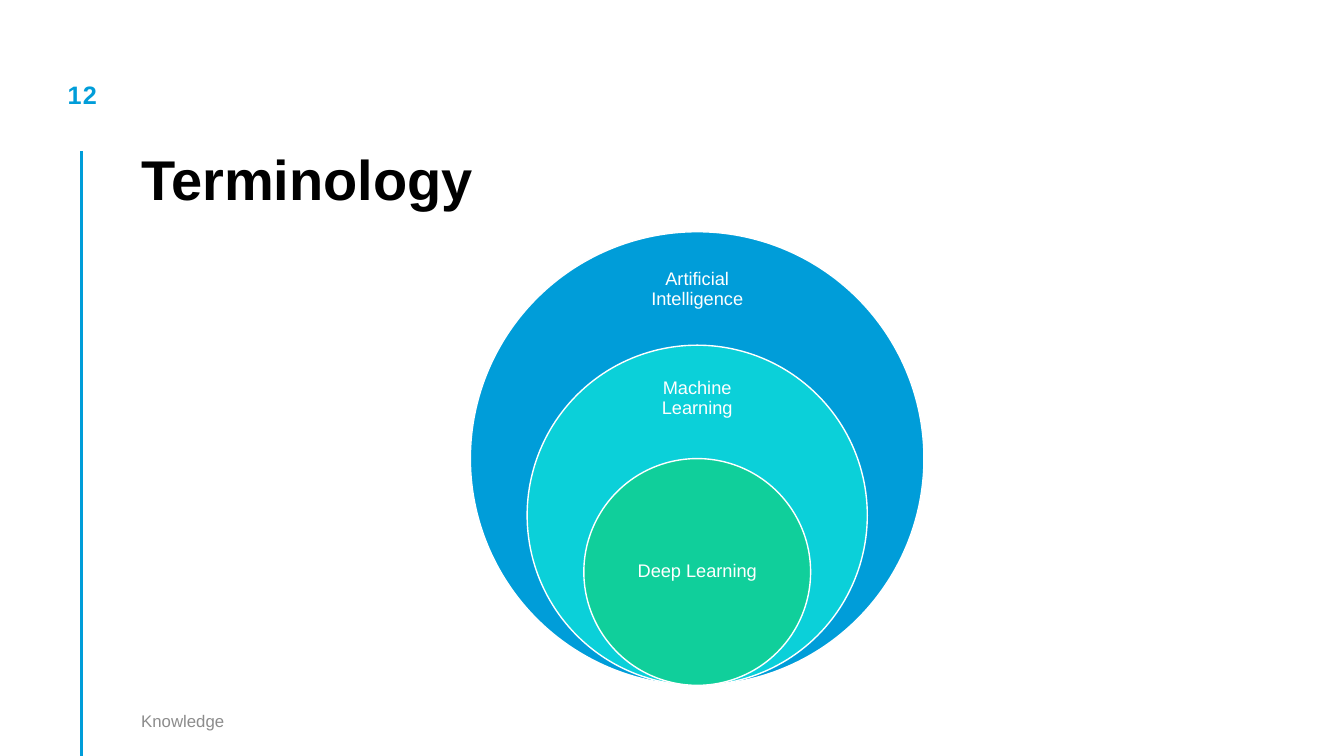
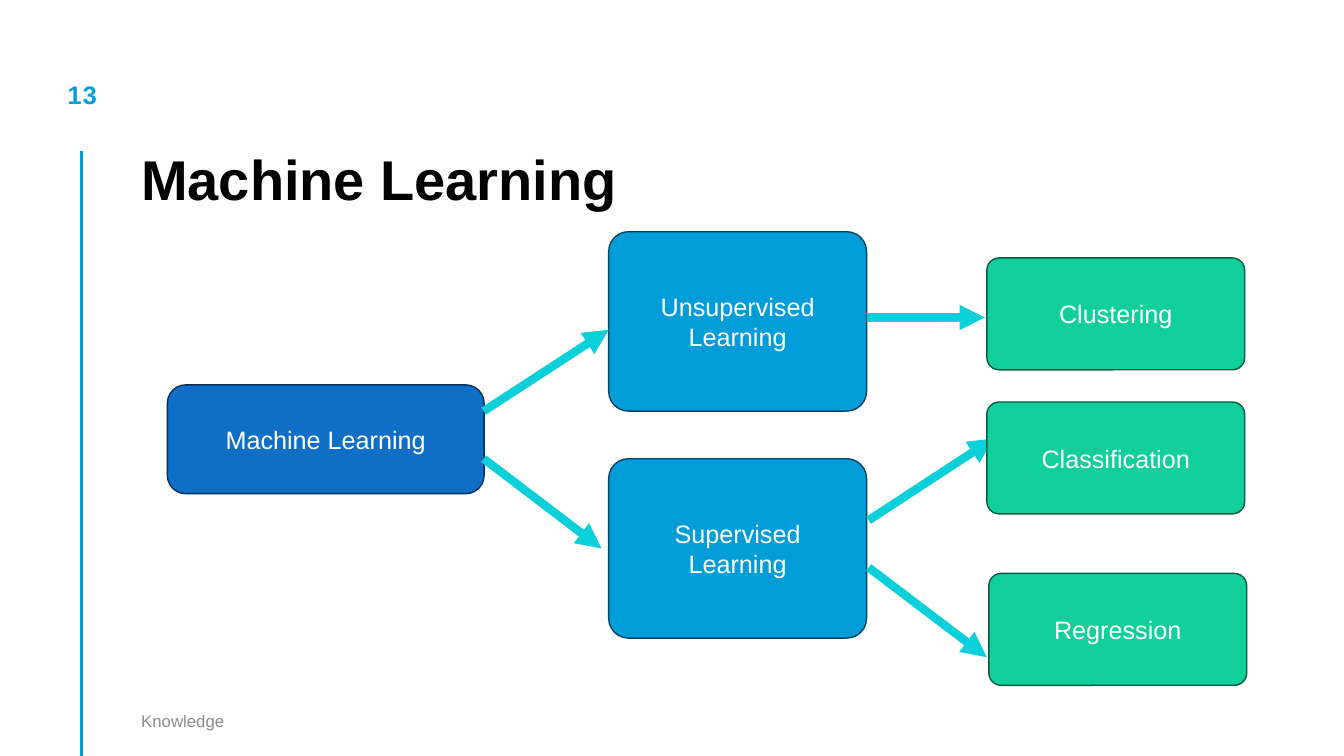
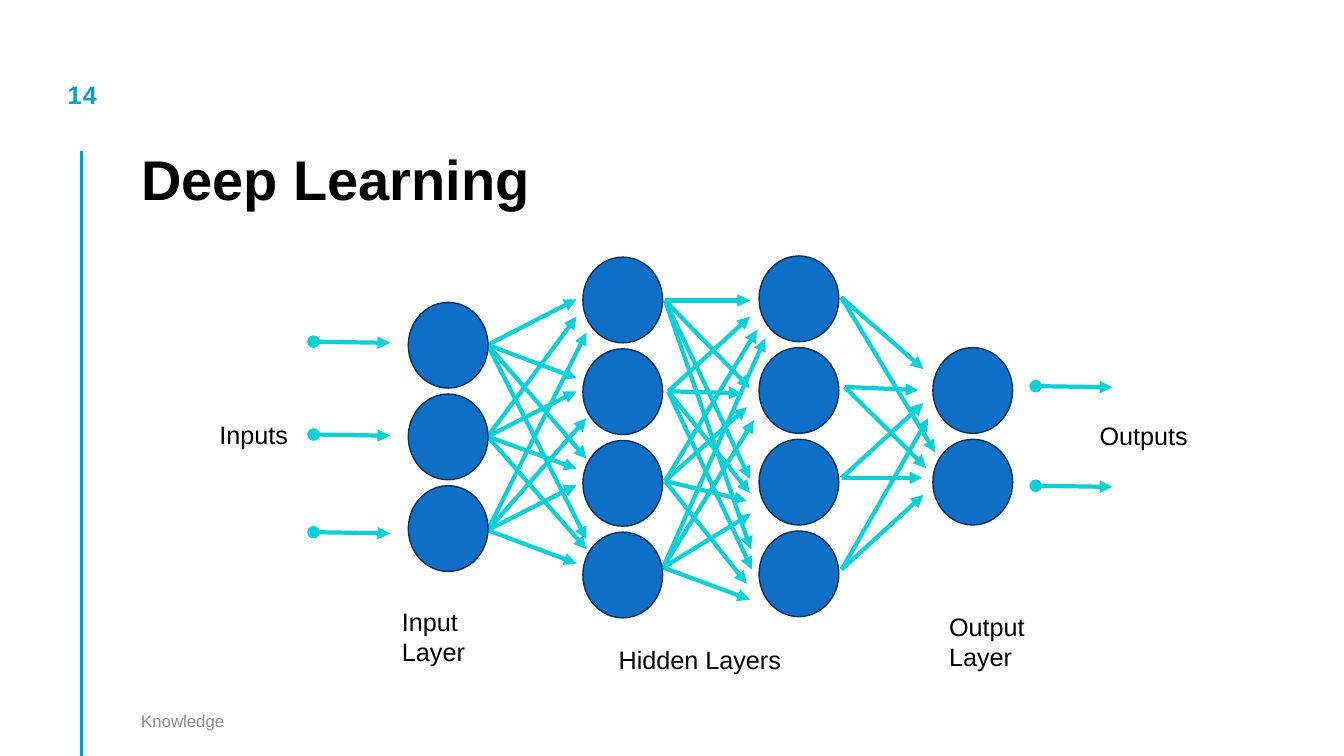
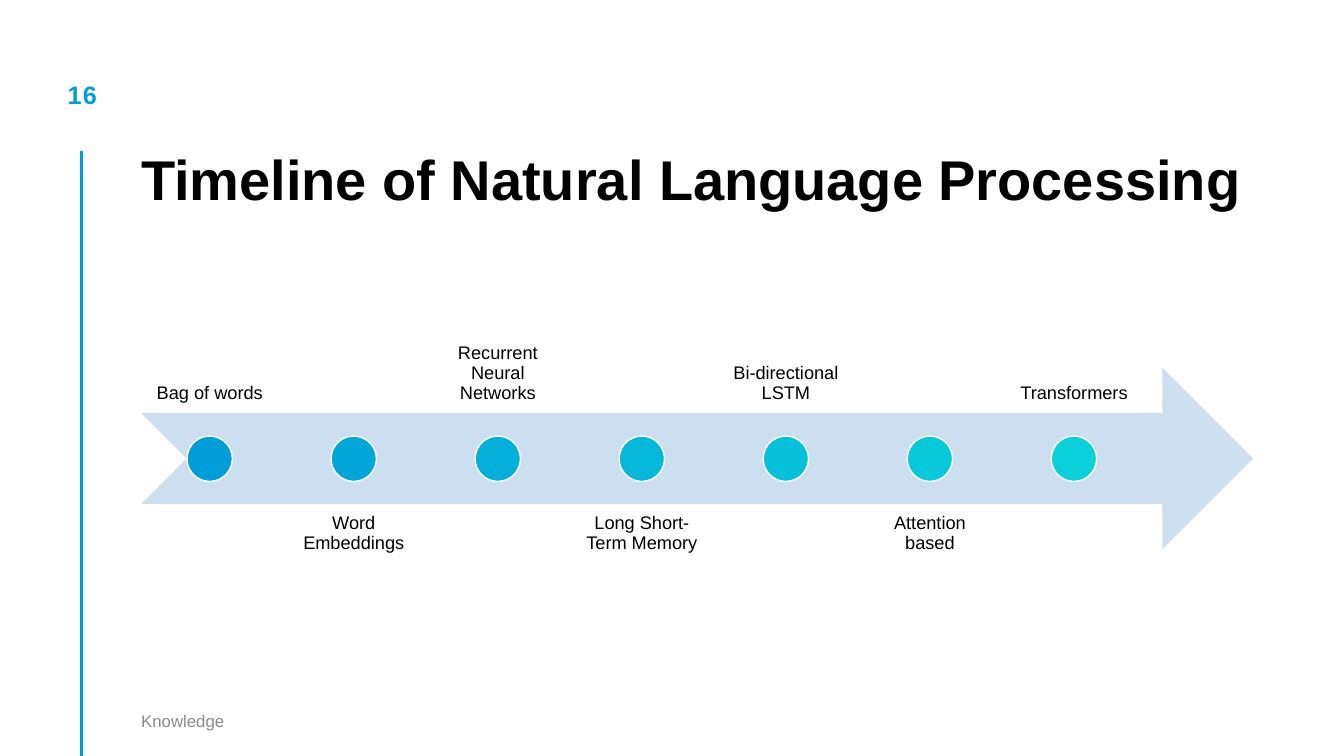
from pptx import Presentation
from pptx.dml.color import RGBColor
from pptx.enum.shapes import MSO_CONNECTOR, MSO_SHAPE
from pptx.enum.text import MSO_ANCHOR, PP_ALIGN
from pptx.oxml.ns import qn
from pptx.util import Cm, Pt
from lxml import etree

STRAIGHT = MSO_CONNECTOR.STRAIGHT
ELLIPSE = MSO_SHAPE.OVAL
ROUNDED = MSO_SHAPE.ROUNDED_RECTANGLE
NOTCHED_ARROW = MSO_SHAPE.NOTCHED_RIGHT_ARROW
TOP, MIDDLE, BOTTOM = MSO_ANCHOR.TOP, MSO_ANCHOR.MIDDLE, MSO_ANCHOR.BOTTOM
LEFT, CENTER = PP_ALIGN.LEFT, PP_ALIGN.CENTER

COLOURS = {
    "black": "000000",
    "white": "FFFFFF",
    "grey": "8C8C8C",
    "navy": "0F6FC6",
    "navy_edge": "073157",
    "blue": "009DD9",
    "blue_edge": "00455F",
    "aqua": "0BD0D9",
    "green": "10CF9B",
    "green_edge": "075B44",
    "pale": "CCDFF1",
    "step_2": "02A6D9",
    "step_3": "04AFD9",
    "step_4": "05B7D9",
    "step_5": "07C0D9",
    "step_6": "09C8D9",
}
FONTS = {
    "title": {"name": "Arial", "size": Pt(40), "bold": True},
    "number": {"name": "Arial", "size": Pt(18), "bold": True},
    "body": {"name": "Arial", "size": Pt(18), "bold": False},
    "label": {"name": "Arial", "size": Pt(13), "bold": False},
    "footer": {"name": "Arial", "size": Pt(12), "bold": False},
}
WIDTH, HEIGHT = 33.87, 19.05
MARGIN = 3.56
CONTENT_WIDTH = 28.02
CONTENT_TOP = 5.84
DEFAULT_INSETS = (0.25, 0.13)


def colour(name):
    return RGBColor.from_string(COLOURS[name])


class Deck:
    def __init__(self):
        self.deck = Presentation()
        self.deck.slide_width, self.deck.slide_height = Cm(WIDTH), Cm(HEIGHT)
        self.page = None

    def new_page(self, number, title):
        self.page = self.deck.slides.add_slide(self.deck.slide_layouts[6])
        self.line((2.06, 3.81), (2.06, HEIGHT), "blue", 2)
        self.text(title, (MARGIN, 1.78, CONTENT_WIDTH, 3.56), "title",
                  anchor=BOTTOM, insets=(0, 0), spacing=Pt(40))
        self.text("Knowledge", (MARGIN, 17.65, 11.43, 1.02), "footer", "grey",
                  anchor=MIDDLE, insets=(0, 0.13))
        span = self.text(str(number), (1.35, 2.01, 1.45, 1.45), "number", "blue",
                         align=CENTER, insets=(0, 0))
        span._r.get_or_add_rPr().set("spc", "100")

    def fill_frame(self, frame, text, font, ink, align, anchor, insets, spacing):
        across, down = insets
        settings = {
            "word_wrap": True, "vertical_anchor": anchor,
            "margin_left": Cm(across), "margin_right": Cm(across),
            "margin_top": Cm(down), "margin_bottom": Cm(down),
        }
        for name, value in settings.items():
            setattr(frame, name, value)
        para = frame.paragraphs[0]
        para.alignment = align
        para.line_spacing = spacing
        for index, row in enumerate(text.split("\n")):
            if index:
                para.add_line_break()
            span = para.add_run()
            span.text = row
            for name, value in FONTS[font].items():
                setattr(span.font, name, value)
            span.font.color.rgb = colour(ink)
        return span

    def text(self, text, area, font="body", ink="black", align=LEFT,
             anchor=TOP, insets=DEFAULT_INSETS, spacing=None):
        box = self.page.shapes.add_textbox(*map(Cm, area))
        return self.fill_frame(box.text_frame, text, font, ink, align, anchor,
                               insets, spacing)

    def label(self, text, area, ink, anchor):
        self.text(text, area, "label", ink, CENTER, anchor, (0.25, 0.25), 0.9)

    def shape(self, kind, area, fill, edge=None, text=None, corner=None):
        shape = self.page.shapes.add_shape(kind, *map(Cm, area))
        shape.shadow.inherit = False
        shape.fill.solid()
        shape.fill.fore_color.rgb = colour(fill)
        if edge:
            shape.line.color.rgb = colour(edge)
            shape.line.width = Pt(1)
        else:
            shape.line.fill.background()
        if corner is not None:
            shape.adjustments[0] = corner
        if text:
            self.fill_frame(shape.text_frame, text, "body", "white", CENTER,
                            MIDDLE, DEFAULT_INSETS, None)

    def line(self, start, end, ink, width, **ends):
        line = self.page.shapes.add_connector(STRAIGHT, *map(Cm, start + end))
        line.line.color.rgb = colour(ink)
        line.line.width = Pt(width)
        outline = line.line._get_or_add_ln()
        for name, kind in ends.items():
            etree.SubElement(outline, qn("a:" + name)).set("type", kind)
        etree.SubElement(line._element.spPr, qn("a:effectLst"))

    def arrow(self, start, end, width):
        self.line(start, end, "aqua", width, tailEnd="triangle")

    def signal(self, left, top):
        self.line((left, top), (left + 1.93, top + 0.03), "aqua", 3,
                  headEnd="oval", tailEnd="triangle")

    def save(self):
        self.deck.save("out.pptx")


def terminology(deck):
    deck.new_page(12, "Terminology")
    center, bottom, largest = 17.57, 17.27, 11.43
    circles = [
        ("Artificial Intelligence", 1, "blue", 6.43, 1.73),
        ("Machine Learning", 0.75, "aqua", 9.25, 1.6),
        ("Deep Learning", 0.5, "green", 12.98, 2.84),
    ]
    for text, share, fill, top, height in circles:
        size = largest * share
        deck.shape(ELLIPSE, (center - size / 2, bottom - size, size, size), fill, "white")
        deck.label(text, (center - 2, top, 4, height), "white", MIDDLE)


def machine_learning(deck):
    deck.new_page(13, "Machine Learning")
    deck.shape(ROUNDED, (4.22, 9.7, 7.98, 2.74), "navy", "navy_edge", "Machine Learning")
    branches = [("Unsupervised Learning", CONTENT_TOP), ("Supervised Learning", 11.56)]
    for text, top in branches:
        deck.shape(ROUNDED, (15.34, top, 6.5, 4.52), "blue", "blue_edge", text, 0.11)
    arrows = [
        ((12.19, 10.36), (15.34, 8.31)),
        ((12.19, 11.56), (15.16, 13.82)),
        ((21.84, 8), (24.82, 8)),
        ((21.89, 13.11), (25.04, 11.05)),
        ((21.89, 14.3), (24.87, 16.56)),
    ]
    for start, end in arrows:
        deck.arrow(start, end, 6)
    tasks = [("Clustering", 24.87, 6.5), ("Classification", 24.87, 10.13),
             ("Regression", 24.92, 14.45)]
    for text, left, top in tasks:
        deck.shape(ROUNDED, (left, top, 6.5, 2.82), "green", "green_edge", text, 0.11)


def deep_learning(deck):
    deck.new_page(14, "Deep Learning")
    links = {
        (12.29, 8.69): [(14.53, 7.54), (14.53, 9.53), (14.78, 11.56), (14.78, 13.59)],
        (12.29, 11): [(14.53, 7.98), (14.53, 9.86), (14.53, 11.81), (14.78, 13.84)],
        (12.29, 13.36): [(14.78, 8.38), (14.78, 10.54), (14.53, 12.22), (14.53, 14.2)],
        (16.76, 7.57): [(18.9, 7.57), (18.9, 9.78), (18.9, 12.07), (18.92, 13.84)],
        (16.84, 9.86): [(18.9, 7.98), (18.69, 9.91), (18.9, 12.42), (18.95, 14.35)],
        (16.76, 12.12): [(19.08, 8.31), (18.82, 10.26), (18.82, 12.62), (18.82, 14.71)],
        (16.71, 14.3): [(19.28, 8.53), (19, 10.59), (18.92, 12.95), (18.9, 15.11)],
        (21.2, 7.49): [(23.27, 9.3), (23.57, 11.4)],
        (21.29, 9.75): [(23.14, 9.83), (23.34, 11.79)],
        (21.21, 12.04): [(23.27, 10.16), (23.24, 12.04)],
        (21.21, 14.35): [(23.39, 10.54), (23.27, 12.47)],
    }
    for start, ends in links.items():
        for end in ends:
            deck.arrow(start, end, 3)
    layers = [(10.29, 7.62, 3), (14.69, 6.48, 4), (19.13, 6.45, 4), (23.51, 8.76, 2)]
    pitch = 2.31
    for left, top, count in layers:
        for index in range(count):
            deck.shape(ELLIPSE, (left, top + index * pitch, 2.01, 2.16), "navy", "navy_edge")
    for left, tops in [(7.9, (8.61, 10.95, 13.41)), (26.1, (9.73, 12.24))]:
        for top in tops:
            deck.signal(left, top)
    captions = [
        ("Inputs", (5.28, 10.44, 2.44, 1.02)),
        ("Input\nLayer", (9.88, 15.14, 2.44, 1.8)),
        ("Output\nLayer", (23.67, 15.27, 2.87, 1.8)),
        ("Hidden Layers", (15.34, 16.1, 5.18, 1.02)),
        ("Outputs", (27.46, 10.46, 2.97, 1.02)),
    ]
    for text, area in captions:
        deck.text(text, area)


def timeline(deck):
    deck.new_page(16, "Timeline of Natural Language Processing")
    height = 4.57
    deck.shape(NOTCHED_ARROW, (MARGIN, 9.27, CONTENT_WIDTH, height), "pale")
    steps = [
        ("Bag of words", "blue"),
        ("Word Embeddings", "step_2"),
        ("Recurrent Neural Networks", "step_3"),
        ("Long Short-Term Memory", "step_4"),
        ("Bi-directional LSTM", "step_5"),
        ("Attention based", "step_6"),
        ("Transformers", "aqua"),
    ]
    pitch, width, dot = 3.63, 3.45, 1.14
    places = [(CONTENT_TOP, BOTTOM), (12.7, TOP)]
    for index, (text, fill) in enumerate(steps):
        left = MARGIN + index * pitch
        top, anchor = places[index % 2]
        deck.label(text, (left, top, width, height), "black", anchor)
        deck.shape(ELLIPSE, (left + (width - dot) / 2, 10.99, dot, dot), fill, "white")


def main():
    deck = Deck()
    for build in (terminology, machine_learning, deep_learning, timeline):
        build(deck)
    deck.save()


if __name__ == "__main__":
    main()
